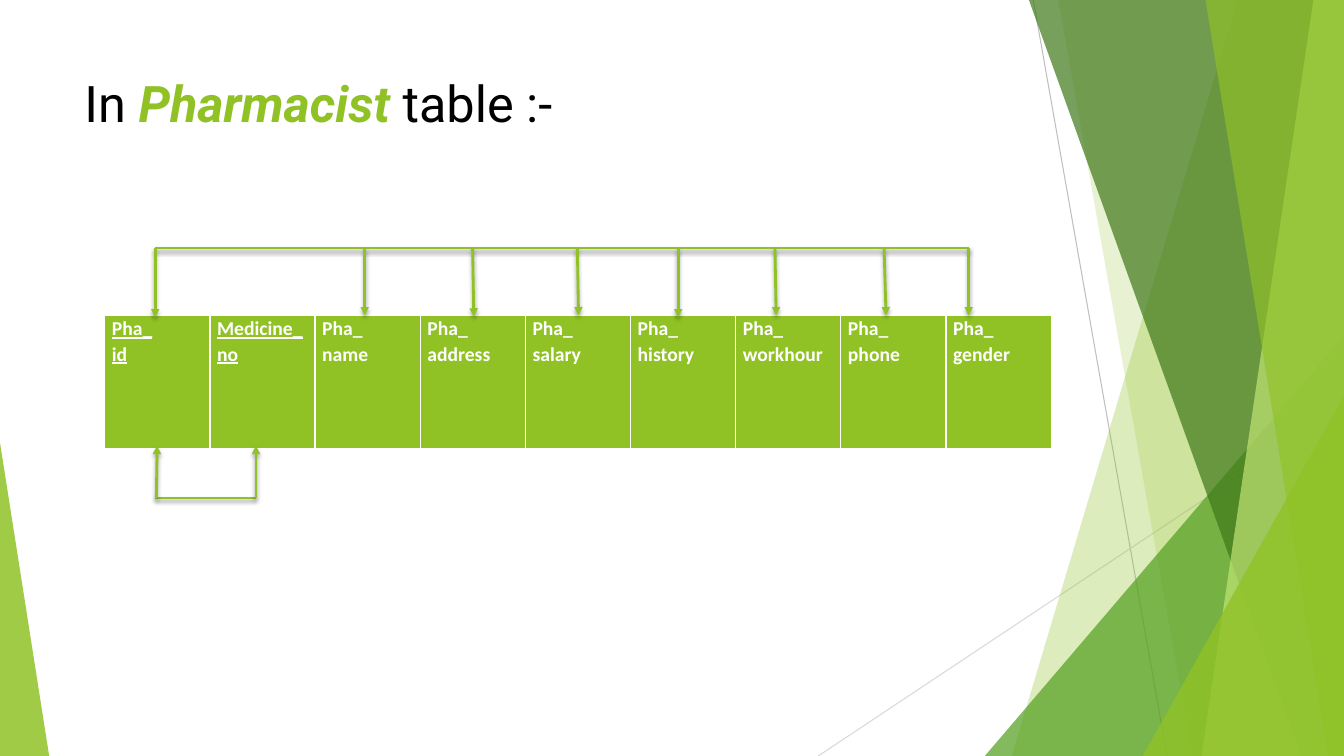
import pptx
import pptx.dml.color
import pptx.enum.shapes
import pptx.enum.text
import pptx.oxml
import pptx.oxml.ns
import pptx.util
from lxml import etree

Cm = pptx.util.Cm
WIDTH, HEIGHT = 33.87, 19.05
COLORS = {
    "lime": "90C226", "green": "54A021", "forest": "3F7819", "pale": "C0E474",
    "white": "FFFFFF", "black": "000000", "gray": "BFBFBF", "silver": "D9D9D9",
}


def rgb(name):
    return pptx.dml.color.RGBColor.from_string(COLORS[name])


def add_xml(parent, xml):
    namespace = pptx.oxml.ns.nsdecls("a")
    parent.append(pptx.oxml.parse_xml(xml.replace(" ", f" {namespace} ", 1)))


def write(paragraph, text, font="Roboto", size=36, color="black",
          bold=False, italic=False, underline=False):
    run = paragraph.add_run()
    run.text = text
    run.font.name = font
    run.font.size = pptx.util.Pt(size)
    run.font.color.rgb = rgb(color)
    run.font.bold = bold
    run.font.italic = italic
    run.font.underline = underline


class SlideBuilder:
    def __init__(self, slide, accent="lime", line_width=2):
        self.slide = slide
        self.shapes = slide.shapes
        self.accent = accent
        self.line_width = line_width

    def paint(self, shape, color, opacity):
        shape.shadow.inherit = False
        shape.line.fill.background()
        shape.fill.solid()
        shape.fill.fore_color.rgb = rgb(color)
        fill_color = shape.fill._xPr.find(".//" + pptx.oxml.ns.qn("a:srgbClr"))
        add_xml(fill_color, f'<a:alpha val="{opacity * 1000}"/>')

    def facet(self, top_x, bottom_x, color, opacity):
        """Band from a slanted left side to the slide's right edge."""
        outline = self.shapes.build_freeform(Cm(top_x), 0)
        corners = [(WIDTH, 0), (WIDTH, HEIGHT), (bottom_x, HEIGHT)]
        outline.add_line_segments([(Cm(x), Cm(y)) for x, y in corners])
        self.paint(outline.convert_to_shape(), color, opacity)

    def triangle(self, left, top, width, apex, color, opacity):
        """Triangle standing on the slide's bottom edge."""
        shape = self.shapes.add_shape(
            pptx.enum.shapes.MSO_SHAPE.ISOSCELES_TRIANGLE,
            Cm(left), Cm(top), Cm(width), Cm(HEIGHT - top))
        shape.adjustments[0] = apex
        self.paint(shape, color, opacity)

    def line(self, start, end, color=None, width=None, arrow=False, shadow=True):
        connector = self.shapes.add_connector(
            pptx.enum.shapes.MSO_CONNECTOR.STRAIGHT,
            *(Cm(value) for value in (*start, *end)))
        connector.line.color.rgb = rgb(color or self.accent)
        connector.line.width = pptx.util.Pt(width or self.line_width)
        properties = connector._element.spPr
        if arrow:
            add_xml(connector.line._get_or_add_ln(), '<a:tailEnd type="triangle"/>')
        effects = etree.SubElement(properties, pptx.oxml.ns.qn("a:effectLst"))
        if shadow:
            add_xml(effects, '<a:outerShdw blurRad="38100" dist="25400" dir="5400000" '
                             'rotWithShape="0"><a:srgbClr val="000000">'
                             '<a:alpha val="35000"/></a:srgbClr></a:outerShdw>')

    def title(self, left, top, width, height, parts):
        box = self.shapes.add_textbox(Cm(left), Cm(top), Cm(width), Cm(height))
        box.text_frame.word_wrap = True
        for text, style in parts:
            write(box.text_frame.paragraphs[0], text, **style)

    def table(self, left, top, column_width, height, fields, key_count):
        frame = self.shapes.add_table(
            1, len(fields), Cm(left), Cm(top),
            Cm(column_width * len(fields)), Cm(height))
        for index, lines in enumerate(fields):
            frame.table.columns[index].width = Cm(column_width)
            self.cell(frame.table.cell(0, index), lines, index < key_count)

    def cell(self, cell, lines, underline):
        cell.margin_left = cell.margin_right = Cm(0.18)
        cell.margin_top = cell.margin_bottom = 0
        cell.vertical_anchor = pptx.enum.text.MSO_ANCHOR.TOP
        frame = cell.text_frame
        for index, text in enumerate(lines):
            paragraph = frame.add_paragraph() if index else frame.paragraphs[0]
            paragraph.line_spacing = 1.07
            write(paragraph, text, font="Calibri", size=14, color="white",
                  bold=True, underline=underline)
        properties = cell._tc.get_or_add_tcPr()
        for side, points in (("L", 1), ("R", 1), ("T", 1), ("B", 3)):
            add_xml(properties, f'<a:ln{side} w="{points * 12700}"><a:solidFill>'
                                f'<a:srgbClr val="{COLORS["white"]}"/>'
                                f'</a:solidFill></a:ln{side}>')
        cell.fill.solid()
        cell.fill.fore_color.rgb = rgb(self.accent)


def main():
    presentation = pptx.Presentation()
    presentation.slide_width = Cm(WIDTH)
    presentation.slide_height = Cm(HEIGHT)
    builder = SlideBuilder(presentation.slides.add_slide(presentation.slide_layouts[6]))

    # Background decoration
    builder.line((26.04, 0), (29.41, HEIGHT), "gray", 0.75, shadow=False)
    builder.line((WIDTH, 10.24), (20.62, HEIGHT), "silver", 0.75, shadow=False)
    builder.facet(31.19, 25.5, "lime", 30)
    builder.facet(26.67, 30.05, "lime", 20)
    builder.triangle(24.82, 8.46, 9.05, 1, "green", 72)
    builder.facet(25.93, 32.79, "forest", 70)
    builder.facet(33.1, 30.28, "pale", 70)
    builder.facet(30.38, 33.48, "lime", 65)
    builder.triangle(28.8, 9.98, 5.07, 1, "lime", 80)
    builder.triangle(0, 11.15, 1.24, 0, "lime", 85)

    # Title
    builder.title(1.88, 1.7, 23.88, 3.66, [
        ("In ", {}),
        ("Pharmacist ", {"color": "lime", "bold": True, "italic": True}),
        ("table :-", {}),
    ])

    # Table of fields, keys first
    names = ["name", "address", "salary", "history", "workhour", "phone", "gender"]
    fields = [("Pha_", "id"), ("Medicine_", "no")] + [("Pha_", name) for name in names]
    builder.table(2.64, 7.95, 2.65, 3.38, fields, key_count=2)

    # Link between the two keys
    key_y = 12.55
    builder.line((3.91, key_y), (6.45, key_y))
    for start_x, end_x in ((3.94, 3.96), (6.45, 6.45)):
        builder.line((start_x, key_y), (end_x, 11.23), arrow=True)

    # Links from the id to the other fields
    bus_y = 6.25
    builder.line((3.91, bus_y), (24.41, bus_y))
    drops = [(3.91, 3.91, 8), (9.19, 9.19, 7.95), (11.91, 11.94, 7.98),
             (14.55, 14.58, 7.95), (17.09, 17.09, 8), (19.53, 19.56, 7.95),
             (22.28, 22.33, 7.95), (24.41, 24.41, 7.95)]
    for start_x, end_x, end_y in drops:
        builder.line((start_x, bus_y), (end_x, end_y), arrow=True)

    presentation.save("out.pptx")


if __name__ == "__main__":
    main()
